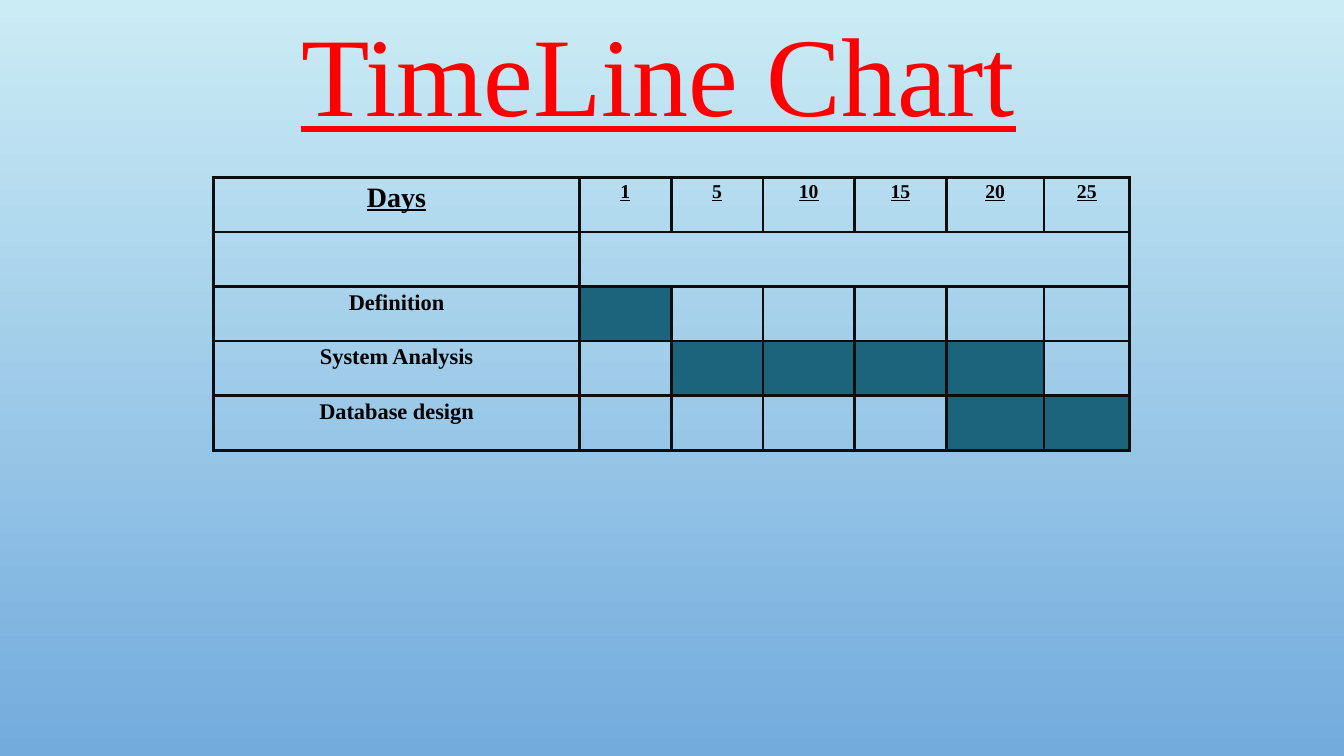
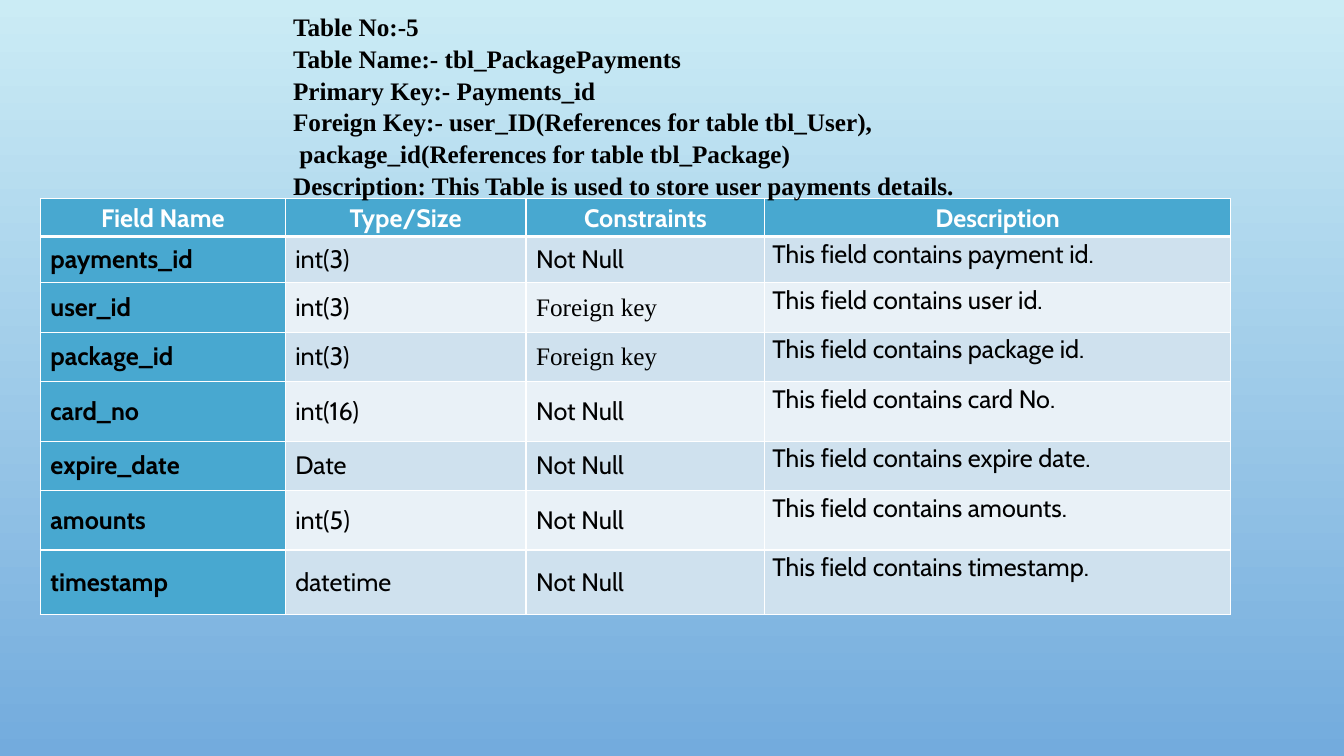
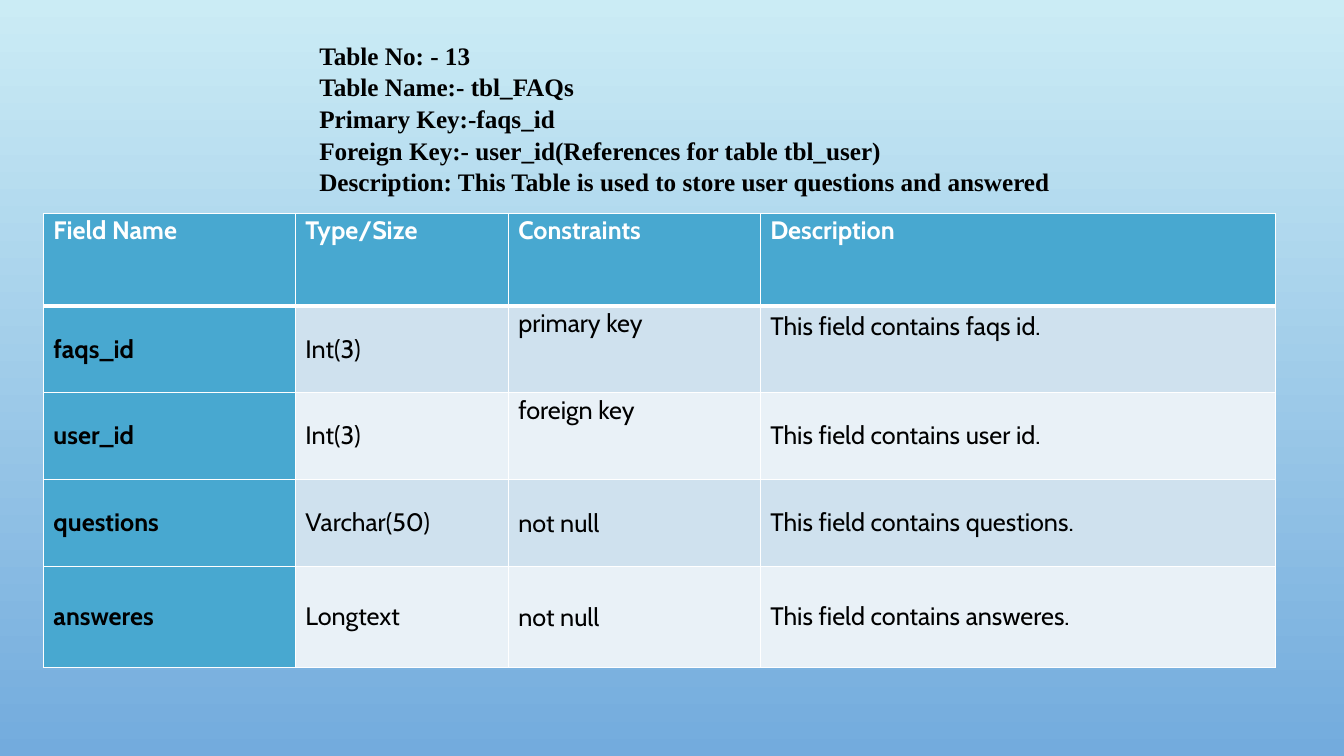
"""Build three slides: a timeline chart and two database table descriptions."""
from lxml import etree
from pptx import Presentation
from pptx import util as u
from pptx.dml import color
from pptx.enum import text
from pptx.oxml import ns

Pt = u.Pt
RGB = color.RGBColor
SKY_TOP, SKY_BOTTOM = RGB(0xCB, 0xEC, 0xF5), RGB(0x73, 0xAB, 0xDD)
RED, BLACK, WHITE = RGB(0xFF, 0, 0), RGB(0, 0, 0), RGB(0xFF, 0xFF, 0xFF)
INK, TEAL = RGB(0x0D, 0x0D, 0x0D), RGB(0x1C, 0x64, 0x7B)
BLUE = RGB(0x48, 0xA8, 0xD0)
BANDS = RGB(0xCF, 0xE1, 0xEE), RGB(0xE9, 0xF1, 0xF7)
SERIF, SANS = "Times New Roman", "Cabin"
CENTER, LEFT = text.PP_ALIGN.CENTER, text.PP_ALIGN.LEFT
MIDDLE = text.MSO_ANCHOR.MIDDLE


def look(name, size, ink=BLACK, align=LEFT, spacing=1.0, cell=None, **font):
    """Collect the format values of one kind of text."""
    return {
        "cell": cell or {},
        "para": {"alignment": align, "line_spacing": spacing},
        "font": {"name": name, "size": Pt(size), **font},
        "ink": ink,
    }


def flush(side):
    """Return cell margins with no room above and below."""
    return {"margin_left": Pt(side), "margin_right": Pt(side),
            "margin_top": 0, "margin_bottom": 0}


CENTERED = {"vertical_anchor": MIDDLE}
TITLE = look(SERIF, 80, RED, CENTER, 1.09, underline=True)
SUMMARY = look(SERIF, 18, spacing=1.05, bold=True)
DAYS = look(SERIF, 20, align=CENTER, spacing=1.15, cell=flush(5), bold=True, underline=True)
DAY = look(SERIF, 14, align=CENTER, spacing=1.15, cell=flush(5), bold=True, underline=True)
PHASE = look(SERIF, 16, align=CENTER, spacing=1.15, cell=flush(5), bold=True)
HEAD_CENTER = look(SANS, 18, WHITE, CENTER, 1.15, flush(5.4), bold=True)
HEAD_LEFT = look(SANS, 18, WHITE, LEFT, 1.07, flush(7.2), bold=True)
FIELD = look(SANS, 18, cell=CENTERED, bold=True)
BODY = look(SANS, 18, cell=CENTERED, bold=False)
BODY_TOP = look(SANS, 18, bold=False)
BODY_LOOSE = look(SANS, 18, spacing=1.07, cell=CENTERED, bold=False)
BODY_SERIF = look(SERIF, 18, cell=CENTERED, bold=False)
NOTE = look(SANS, 18, spacing=1.07, cell=flush(5.4), bold=False)
KEY = look(SANS, 18, spacing=1.07, cell=flush(7.2), bold=False)


def assign(target, values):
    """Set attributes from a dict."""
    for name, value in values.items():
        setattr(target, name, value)


def write(frame, lines, style):
    """Write one paragraph per line in the given style."""
    for index, line in enumerate(lines):
        para = frame.add_paragraph() if index else frame.paragraphs[0]
        assign(para, style["para"])
        span = para.add_run()
        span.text = line
        assign(span.font, style["font"])
        span.font.color.rgb = style["ink"]


def add_text(page, left, top, width, height, lines, style):
    """Add a wrapping text box."""
    box = page.shapes.add_textbox(Pt(left), Pt(top), Pt(width), Pt(height))
    box.text_frame.word_wrap = True
    box.text_frame.auto_size = text.MSO_AUTO_SIZE.SHAPE_TO_FIT_TEXT
    write(box.text_frame, lines, style)


def draw_edges(cell, ink, widths):
    """Draw the cell borders; widths run left, right, top, bottom."""
    holder = cell._tc.get_or_add_tcPr()
    for side, width in zip("LRTB", widths):
        line = etree.SubElement(holder, ns.qn(f"a:ln{side}"), w=str(int(Pt(width))))
        paint = etree.SubElement(line, ns.qn("a:solidFill"))
        etree.SubElement(paint, ns.qn("a:srgbClr"), val=str(ink))


def add_grid(page, left, top, widths, heights, rows, ink, edge, head_edge):
    """Add a table whose cells are (text, style, fill) triples."""
    table = page.shapes.add_table(len(heights), len(widths), Pt(left), Pt(top),
                                  Pt(sum(widths)), Pt(sum(heights))).table
    assign(table, {"first_row": False, "horz_banding": False})
    for column, width in zip(table.columns, widths):
        column.width = Pt(width)
    for index, (height, row) in enumerate(zip(heights, rows)):
        table.rows[index].height = Pt(height)
        above = head_edge if index == 1 else edge
        below = head_edge if index == 0 else edge
        for cell, (words, style, fill) in zip(table.rows[index].cells, row):
            draw_edges(cell, ink, (edge, edge, above, below))
            if fill is None:
                cell.fill.background()
            else:
                cell.fill.solid()
                cell.fill.fore_color.rgb = fill
            assign(cell, style["cell"])
            if words:
                write(cell.text_frame, [words], style)
    return table


def add_fields(page, left, top, widths, heights, head, records):
    """Add a field table; a record is four texts and the styles of its last two."""
    names = "Field Name", "Type/Size", "Constraints", "Description"
    rows = [[(name, head, BLUE) for name in names]]
    for index, (field, kind, rule, note, rule_style, note_style) in enumerate(records):
        band = BANDS[index % 2]
        rows.append([(field, FIELD, BLUE), (kind, BODY, band),
                     (rule, rule_style, band), (note, note_style, band)])
    add_grid(page, left, top, widths, heights, rows, WHITE, 1, 3)


def timeline(page):
    """Fill the timeline slide."""
    add_text(page, 180.7, -8.6, 579.6, 104.4, ["TimeLine Chart"], TITLE)
    days = "1", "5", "10", "15", "20", "25"
    phases = (("", ()), ("Definition", (0,)),
              ("System Analysis", (1, 2, 3, 4)), ("Database design", (4, 5)))
    rows = [[("Days", DAYS, None)] + [(day, DAY, None) for day in days]]
    for phase, busy in phases:
        rows.append([(phase, PHASE, None)] + [
            ("", PHASE, TEAL if slot in busy else None) for slot in range(len(days))])
    widths = [261.4] + [65.5] * 4 + [69.8, 61.2]
    table = add_grid(page, 152.6, 126.7, widths, [39] * len(rows), rows, INK, 2.25, 2.25)
    table.cell(1, 1).merge(table.cell(1, len(days)))


def payments(page):
    """Fill the payments table slide."""
    fields = (
        ("payments_id", "int(3)", "Not Null", "payment id"),
        ("user_id", "int(3)", "Foreign key", "user id"),
        ("package_id", "int(3)", "Foreign key", "package id"),
        ("card_no", "int(16)", "Not Null", "card No"),
        ("expire_date", "Date", "Not Null", "expire date"),
        ("amounts", "int(5)", "Not Null", "amounts"),
        ("timestamp", "datetime", "Not Null", "timestamp"),
    )
    records = [(field, kind, rule, f"This field contains {content}.",
                BODY_SERIF if rule == "Foreign key" else BODY, NOTE)
               for field, kind, rule, content in fields]
    add_fields(page, 28.8, 141.6, (175, 172, 170.6, 332.6),
               (27.4, 33.1, 35.3, 35.3, 42.5, 35.3, 42.5, 46.1), HEAD_CENTER, records)
    add_text(page, 202.3, 3.6, 714.2, 138.2, (
        "Table No:-5",
        "Table Name:- tbl_PackagePayments",
        "Primary Key:- Payments_id",
        "Foreign Key:- user_ID(References for table tbl_User),",
        " package_id(References for table tbl_Package)",
        "Description: This Table is used to store user payments details.",
    ), SUMMARY)


def questions(page):
    """Fill the questions table slide."""
    add_text(page, 221, 23.8, 668.9, 138.2, (
        "Table No: - 13",
        "Table Name:- tbl_FAQs",
        "Primary Key:-faqs_id",
        "Foreign Key:- user_id(References for table tbl_user)",
        "Description: This Table is used to store user questions and answered",
    ), SUMMARY)
    records = (
        ("faqs_id", "Int(3)", "primary key", "This field contains faqs id.", KEY, BODY_TOP),
        ("user_id", "Int(3)", "foreign key", "This field contains user id.", KEY, BODY),
        ("questions", "Varchar(50)", "not null", "This field contains questions.",
         BODY_LOOSE, BODY),
        ("answeres", "Longtext", "not null", "This field contains answeres.",
         BODY_LOOSE, BODY),
    )
    add_fields(page, 31, 152.4, (180, 152, 180, 368),
               (66, 62, 62, 62, 72.6), HEAD_LEFT, records)


def main():
    """Build and save the deck."""
    deck = Presentation()
    assign(deck, {"slide_width": Pt(960), "slide_height": Pt(540)})
    sky = deck.slide_master.background.fill
    sky.gradient()
    sky.gradient_angle = 270
    for stop, ink in zip(sky.gradient_stops, (SKY_TOP, SKY_BOTTOM)):
        stop.color.rgb = ink
    for fill_page in (timeline, payments, questions):
        fill_page(deck.slides.add_slide(deck.slide_layouts[6]))
    deck.save("out.pptx")


if __name__ == "__main__":
    main()
